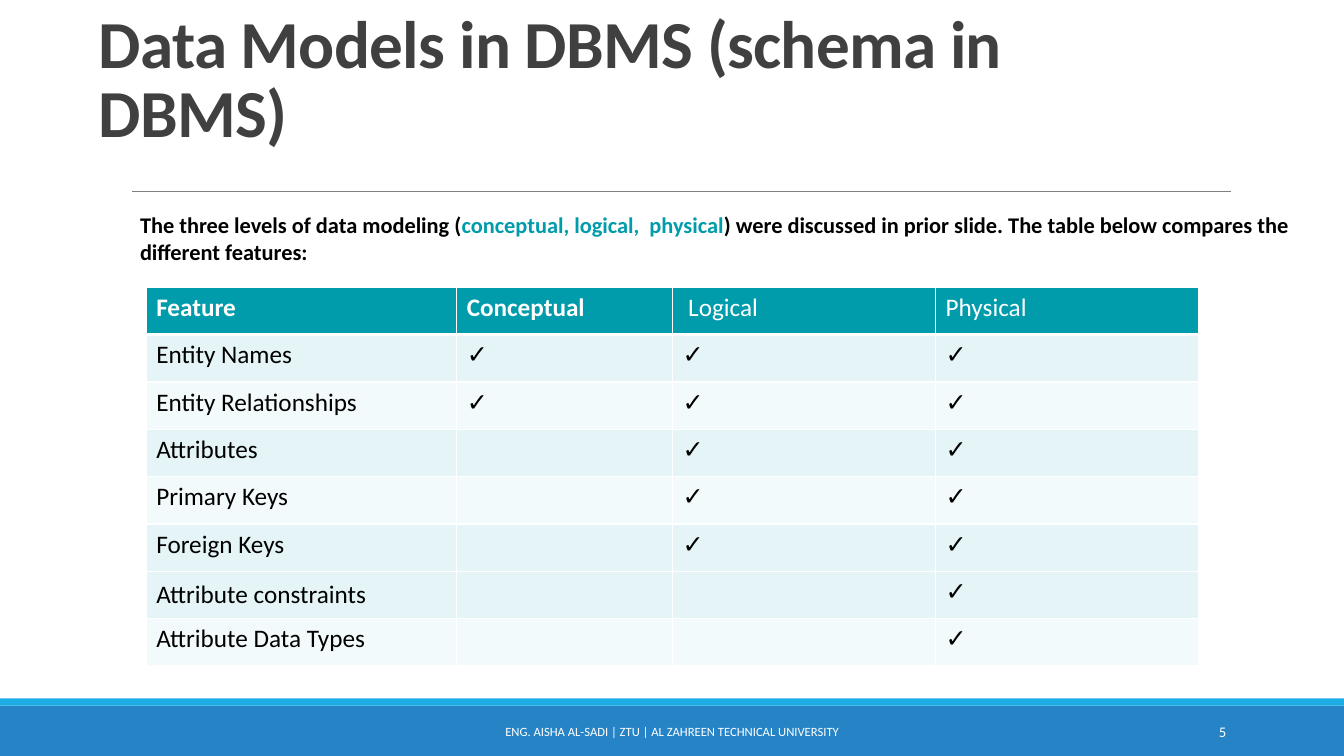
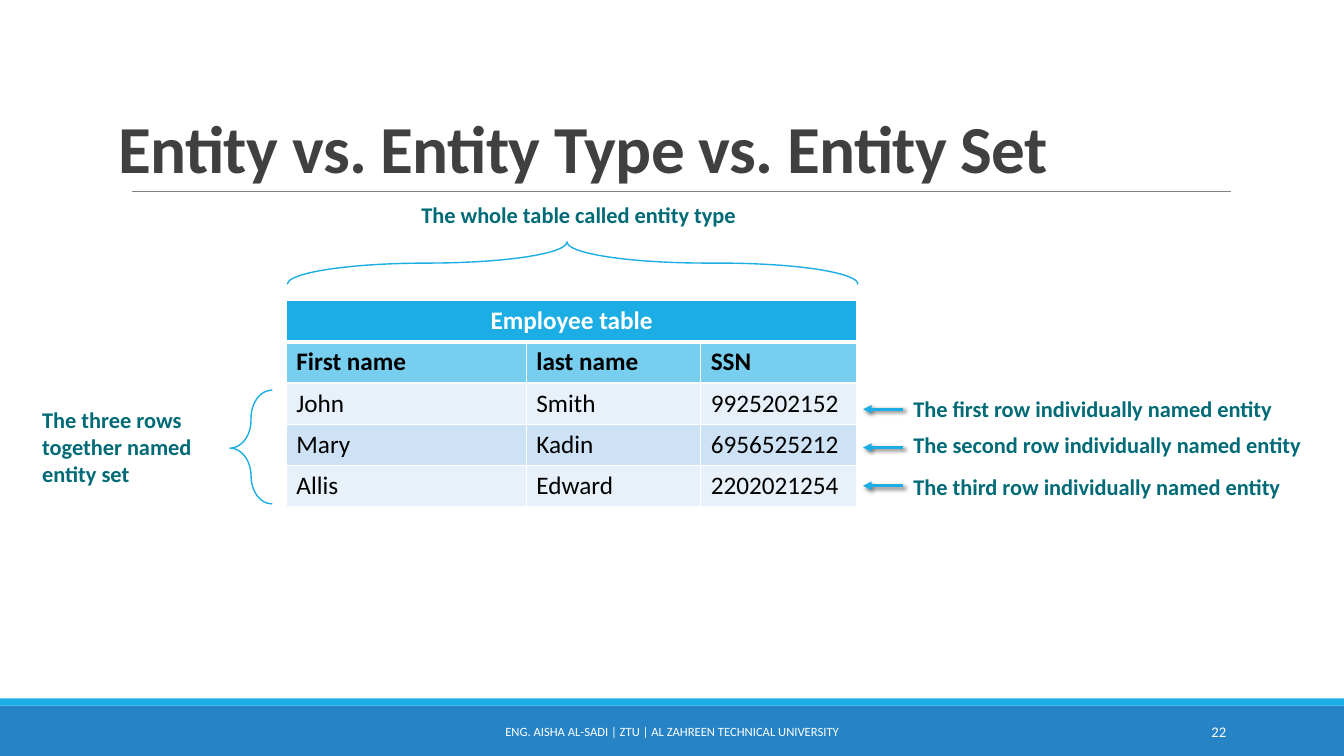
from lxml import etree
from pptx import Presentation
from pptx.dml.color import RGBColor
from pptx.enum.shapes import MSO_CONNECTOR, MSO_SHAPE
from pptx.enum.text import MSO_ANCHOR, PP_ALIGN
from pptx.oxml.ns import qn
from pptx.util import Inches, Pt

LEFT, CENTER, RIGHT = PP_ALIGN.LEFT, PP_ALIGN.CENTER, PP_ALIGN.RIGHT
TOP, MIDDLE, BOTTOM = MSO_ANCHOR.TOP, MSO_ANCHOR.MIDDLE, MSO_ANCHOR.BOTTOM
RECTANGLE, LEFT_BRACE = MSO_SHAPE.RECTANGLE, MSO_SHAPE.LEFT_BRACE
STRAIGHT = MSO_CONNECTOR.STRAIGHT

FONT = "Calibri"
FOOTER = "ENG. AISHA AL-SADI | ZTU | AL ZAHREEN TECHNICAL UNIVERSITY"
CHECK = "✓"
COLORS = {
    "white": "FFFFFF", "black": "000000", "title": "404040", "rule": "808080",
    "band": "2683C6", "sky": "1CADE4", "sky_mid": "77CEEF",
    "row_light": "E8F1FA", "row_dark": "CDE3F5",
    "teal": "009CAC", "teal_dark": "006B76",
    "teal_band": "E5F5F7", "teal_pale": "F3FAFB",
}

# Feature, number of models without it, row fill, anchor of the feature name
FEATURES = [
    ("Entity Names", 0, "teal_band", TOP),
    ("Entity Relationships", 0, "teal_pale", TOP),
    ("Attributes", 1, "teal_band", TOP),
    ("Primary Keys", 1, "teal_pale", TOP),
    ("Foreign Keys", 1, "teal_band", TOP),
    ("Attribute constraints", 2, "teal_band", MIDDLE),
    ("Attribute Data Types", 2, "teal_pale", TOP),
]
EMPLOYEES = [
    ("John", "Smith", "9925202152"),
    ("Mary", "Kadin", "6956525212"),
    ("Allis", "Edward", "2202021254"),
]
ROW_LABELS = [
    ("The first row individually named entity", 3.87, 4.06),
    ("The second row individually named entity", 4.23, 4.37),
    ("The third row individually named entity", 4.64, 4.14),
]


def rgb(name):
    return RGBColor.from_string(COLORS[name])


def inches(values):
    return [Inches(value) for value in values]


def add_run(para, text, size, color, bold=False):
    span = para.add_run()
    span.text = text
    span.font.name = FONT
    span.font.size = Pt(size)
    span.font.bold = bold
    span.font.color.rgb = rgb(color)
    return span


def add_text(page, place, runs, size, bold=False, align=LEFT, anchor=TOP):
    """Add a wrapping text box; runs are (text, color) pairs."""
    box = page.shapes.add_textbox(*inches(place))
    box.text_frame.word_wrap = True
    box.text_frame.vertical_anchor = anchor
    para = box.text_frame.paragraphs[0]
    para.alignment = align
    for text, color in runs:
        add_run(para, text, size, color, bold)
    return box


def add_title(page, left, top, text):
    box = add_text(page, (left, top, 11, 1.59), [(text, "title")], 48, True, anchor=BOTTOM)
    box.text_frame.margin_bottom = Inches(0.74)
    para = box.text_frame.paragraphs[0]
    para.line_spacing = 0.85
    para.runs[0].font._element.set("spc", "-50")


def add_label(page, place, text):
    add_text(page, place, [(text, "teal_dark")], 16, True)


def add_band(page, top, height, color):
    band = page.shapes.add_shape(RECTANGLE, *inches((0, top, 13.33, height)))
    band.shadow.inherit = False
    band.fill.solid()
    band.fill.fore_color.rgb = rgb(color)
    band.line.fill.background()


def add_line(page, start, end, color, width):
    """Add a straight line and return it with its empty effect list."""
    line = page.shapes.add_connector(STRAIGHT, *inches(start + end))
    line.line.color.rgb = rgb(color)
    line.line.width = Pt(width)
    effects = etree.SubElement(line._element.spPr, qn("a:effectLst"))
    return line, effects


def add_arrow(page, start, end):
    line, effects = add_line(page, start, end, "sky", 2)
    etree.SubElement(line.line._get_or_add_ln(), qn("a:tailEnd"), type="triangle")
    shadow = etree.SubElement(effects, qn("a:outerShdw"), blurRad=str(Pt(3)),
                              dist=str(Pt(2)), dir="2700000", rotWithShape="0")
    tint = etree.SubElement(shadow, qn("a:srgbClr"), val=COLORS["black"])
    etree.SubElement(tint, qn("a:alpha"), val="60000")


def add_brace(page, place, rotation=0):
    brace = page.shapes.add_shape(LEFT_BRACE, *inches(place))
    brace.rotation = rotation
    brace.adjustments[0] = 5.29
    brace.adjustments[1] = 0.51
    brace.shadow.inherit = False
    brace.fill.background()
    brace.line.color.rgb = rgb("sky")
    brace.line.width = Pt(1)


def add_grid(page, left, top, widths, row_height, row_count):
    size = (sum(widths), row_height * row_count)
    frame = page.shapes.add_table(row_count, len(widths), *inches((left, top) + size))
    for column, width in zip(frame.table.columns, widths):
        column.width = Inches(width)
    for row in frame.table.rows:
        row.height = Inches(row_height)
    return frame.table


def set_borders(cell, bottom):
    for side, width in (("L", 1), ("R", 1), ("T", 1), ("B", bottom)):
        line = etree.SubElement(cell._tc.get_or_add_tcPr(), qn("a:ln" + side), w=str(Pt(width)))
        fill = etree.SubElement(line, qn("a:solidFill"))
        etree.SubElement(fill, qn("a:srgbClr"), val=COLORS["white"])


def fill_cell(cell, text, fill, color="black", bold=False, align=LEFT, anchor=TOP, bottom=1):
    set_borders(cell, bottom)
    cell.fill.solid()
    cell.fill.fore_color.rgb = rgb(fill)
    cell.vertical_anchor = anchor
    para = cell.text_frame.paragraphs[0]
    para.alignment = align
    if text:
        add_run(para, text, 18, color, bold)


def add_page(deck, number):
    """Add a slide with the shared bands, rule, footer and number."""
    page = deck.slides.add_slide(deck.slide_layouts[6])
    add_band(page, 7, 0.5, "band")
    add_band(page, 6.93, 0.07, "sky")
    add_line(page, (1.31, 1.9), (12.21, 1.9), "rule", 0.5)
    add_text(page, (4.03, 7.06, 5.27, 0.4), [(FOOTER, "white")], 9, align=CENTER, anchor=MIDDLE)
    add_text(page, (10.83, 7.06, 1.43, 0.4), [(number, "white")], 10.5, align=RIGHT, anchor=MIDDLE)
    return page


def build_data_models(deck):
    page = add_page(deck, "5")
    add_title(page, 0.88, 0.65, "Data Models in DBMS (schema in DBMS)")
    add_text(page, (1.29, 2.05, 12.29, 0.64), [
        ("The three levels of data modeling (", "black"),
        ("conceptual, logical,  physical", "teal"),
        (") were discussed in prior slide. The table below compares the different features:", "black"),
    ], 16, True)
    grid = add_grid(page, 1.45, 2.85, (3.08, 2.14, 2.61, 2.61), 0.47, len(FEATURES) + 1)
    headings = ("Feature", "Conceptual", " Logical", "Physical")
    for column, heading in enumerate(headings):
        fill_cell(grid.cell(0, column), heading, "teal", "white", bold=column < 2, bottom=3)
    for row, (feature, missing, fill, anchor) in enumerate(FEATURES, 1):
        fill_cell(grid.cell(row, 0), feature, fill, anchor=anchor)
        for column in range(1, len(headings)):
            fill_cell(grid.cell(row, column), CHECK if column > missing else "", fill)


def build_entity_set(deck):
    page = add_page(deck, "22")
    add_title(page, 1.08, 1.01, "Entity vs. Entity Type vs. Entity Set")
    grid = add_grid(page, 2.84, 2.98, (2.38, 1.73, 1.55), 0.41, len(EMPLOYEES) + 2)
    grid.cell(0, 0).merge(grid.cell(0, 2))
    for column, text in enumerate(("Employee table", "", "")):
        fill_cell(grid.cell(0, column), text, "sky", "white", True, CENTER, bottom=3)
    for column, heading in enumerate(("First name", "last name", "SSN")):
        fill_cell(grid.cell(1, column), heading, "sky_mid", bold=True)
    for row, employee in enumerate(EMPLOYEES, 2):
        for column, value in enumerate(employee):
            fill_cell(grid.cell(row, column), value, "row_dark" if row % 2 else "row_light")

    add_brace(page, (5.47, -0.22, 0.42, 5.66), 90)
    add_label(page, (4.08, 1.95, 4.68, 0.37), "The whole table called entity type")
    add_brace(page, (2.28, 3.87, 0.42, 1.13))
    add_label(page, (0.32, 3.98, 2.07, 0.91), "The three rows together named entity set")
    for index, (text, top, width) in enumerate(ROW_LABELS):
        arrow_y = 4.06 + 0.38 * index
        add_arrow(page, (8.96, arrow_y), (8.56, arrow_y))
        add_label(page, (8.96, top, width, 0.37), text)


def main():
    deck = Presentation()
    deck.slide_width, deck.slide_height = Inches(13.33), Inches(7.5)
    build_data_models(deck)
    build_entity_set(deck)
    deck.save("out.pptx")


if __name__ == "__main__":
    main()
